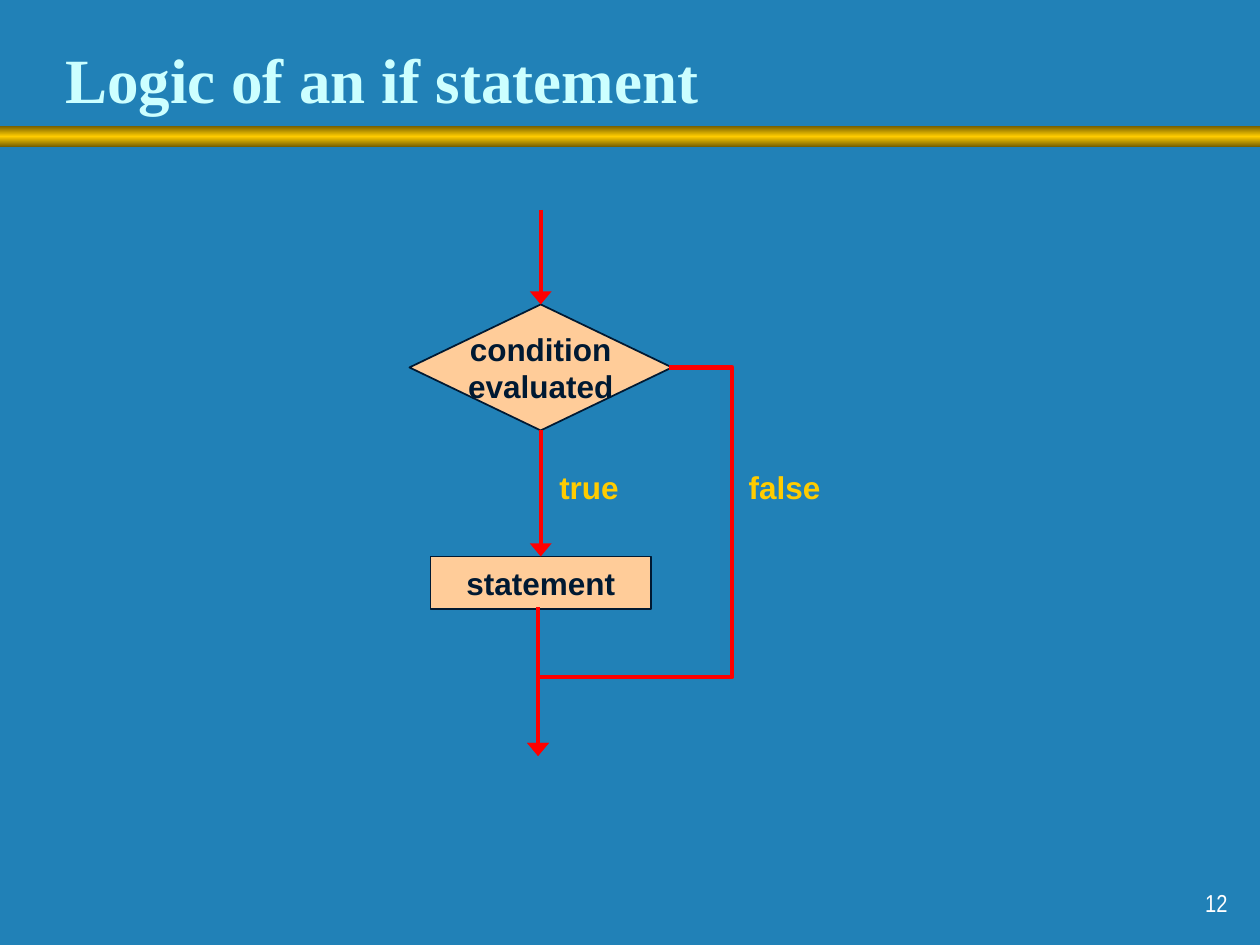
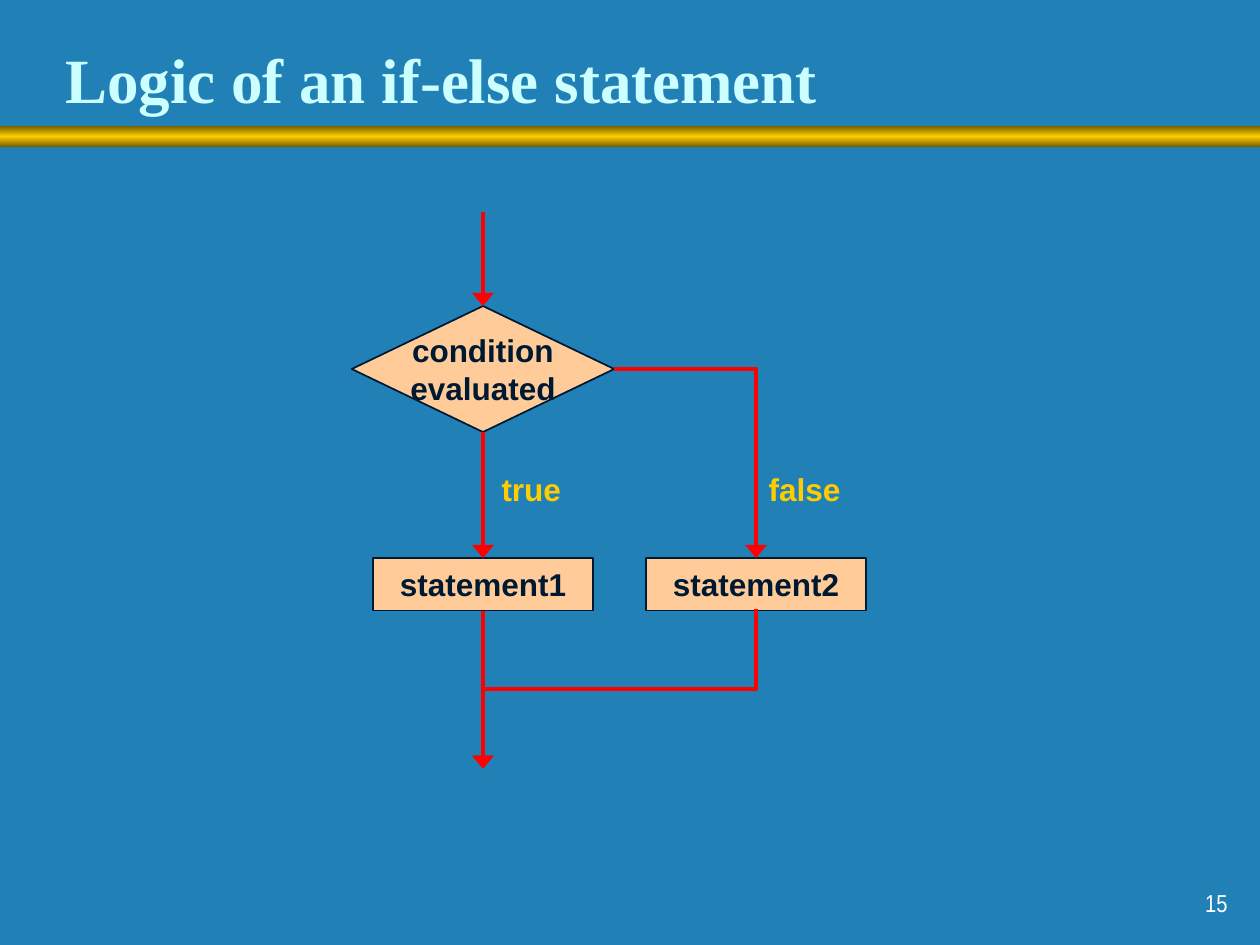
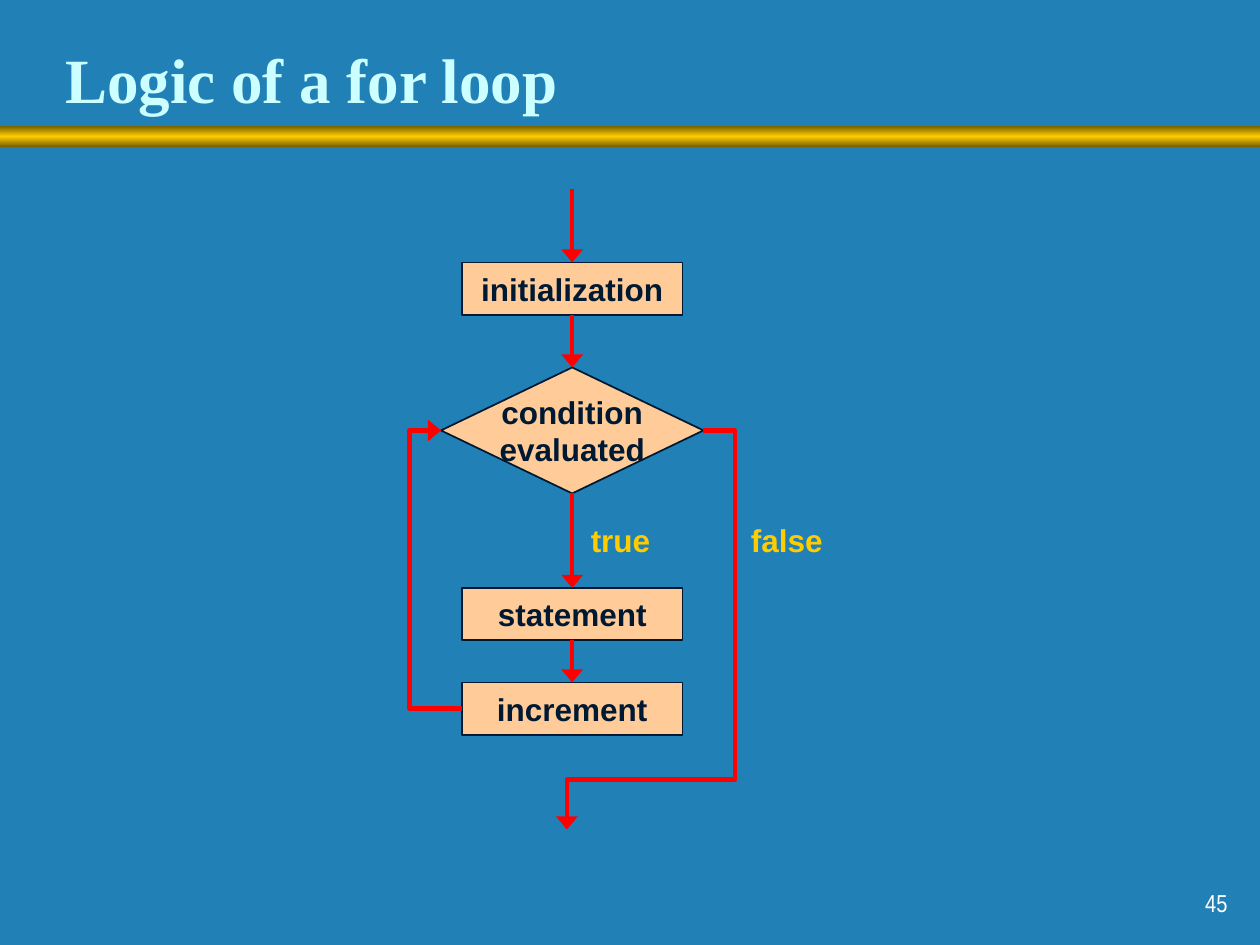
import copy
import dataclasses

import lxml.etree
import pptx
import pptx.dml.color
import pptx.enum.shapes
import pptx.enum.text
import pptx.oxml
import pptx.oxml.ns
import pptx.util

RGB = pptx.dml.color.RGBColor
SHAPE = pptx.enum.shapes.MSO_SHAPE
CONNECTOR = pptx.enum.shapes.MSO_CONNECTOR
ALIGN = pptx.enum.text.PP_ALIGN
ANCHOR = pptx.enum.text.MSO_ANCHOR
qn = pptx.oxml.ns.qn

BLUE = RGB(0x21, 0x81, 0xB7)
GOLD = RGB(0xFF, 0xCC, 0x00)
DARK_GOLD = RGB(0x75, 0x5E, 0x00)
PALE_CYAN = RGB(0xCC, 0xFF, 0xFF)
PEACH = RGB(0xFF, 0xCC, 0x99)
NAVY = RGB(0x00, 0x19, 0x32)
RED = RGB(0xFF, 0x00, 0x00)
WHITE = RGB(0xFF, 0xFF, 0xFF)

COLUMNS, ROWS = 240, 180
UNIT = pptx.util.Inches(10) / COLUMNS
TOP, BOTTOM = 0, 2
CONDITION = "condition\nevaluated"

Point = tuple[float, float]


@dataclasses.dataclass
class Node:
    text: str
    center: float
    top: float
    width: float = 42
    height: float = 10
    outline: int = SHAPE.RECTANGLE


@dataclasses.dataclass
class Label:
    text: str
    column: float
    row: float
    width: float


@dataclasses.dataclass
class Arrow:
    start: str | Point
    end: str | Point


@dataclasses.dataclass
class Elbow:
    start: Point
    end: Point
    lane: float | None = None
    rail: float | None = None


@dataclasses.dataclass
class Flowchart:
    title: str
    number: int
    nodes: list[Node]
    labels: list[Label]
    arrows: list[Arrow]
    elbows: list[Elbow]


def condition(center: float, top: float) -> Node:
    return Node(CONDITION, center, top, 50, 24, SHAPE.DIAMOND)


def branch_labels(true_column: float, false_column: float, row: float) -> list[Label]:
    return [Label("true", true_column, row, 16), Label("false", false_column, row, 18.5)]


FLOWCHARTS = [
    Flowchart(
        "Logic of an if statement", 12,
        [condition(103, 58), Node("statement", 103, 106)],
        branch_labels(104.2, 140.2, 88),
        [Arrow((103, 40), CONDITION), Arrow(CONDITION, "statement"),
         Arrow((102.5, 115.7), (102.5, 144))],
        [Elbow((127.5, 70), (102.5, 144), lane=139.5, rail=129)],
    ),
    Flowchart(
        "Logic of an if-else statement", 15,
        [condition(92, 58.3), Node("statement1", 92, 106.3), Node("statement2", 144, 106.3)],
        branch_labels(93.2, 144, 88.3),
        [Arrow((92, 40.3), CONDITION), Arrow(CONDITION, "statement1"),
         Arrow("statement1", (92, 146.4))],
        [Elbow((117, 70.3), (144, 106.3)), Elbow((144, 116), (92, 146.4), rail=131.2)],
    ),
    Flowchart(
        "Logic of a for loop", 45,
        [Node("initialization", 109, 50), condition(109, 70),
         Node("statement", 109, 112), Node("increment", 109, 130)],
        branch_labels(110.2, 140.6, 98),
        [Arrow((109, 36), "initialization"), Arrow("initialization", CONDITION),
         Arrow(CONDITION, "statement"), Arrow("statement", "increment")],
        [Elbow((88, 135), (84, 82), lane=78),
         Elbow((134, 82), (108, 158), lane=140, rail=148.5)],
    ),
]


def grid(*lengths: float) -> list[int]:
    return [round(length * UNIT) for length in lengths]


def write(shape, text: str, *, color: RGB, size: float = 18, font: str = "Arial",
          bold: bool = True, align=ALIGN.CENTER, anchor=ANCHOR.MIDDLE,
          wrap: bool = False, before: float = 0) -> None:
    frame = shape.text_frame
    frame.text = text
    frame.auto_size = pptx.enum.text.MSO_AUTO_SIZE.NONE
    frame.word_wrap = wrap
    frame.vertical_anchor = anchor
    for paragraph in frame.paragraphs:
        paragraph.alignment = align
        paragraph.space_before = pptx.util.Pt(before)
        paragraph.font.name = font
        paragraph.font.size = pptx.util.Pt(size)
        paragraph.font.bold = bold
        paragraph.font.color.rgb = color


def add_band(slide, layout) -> None:
    band = slide.shapes.add_shape(SHAPE.RECTANGLE, *grid(0, 24, COLUMNS, 4))
    band.shadow.inherit = False
    band.line.fill.background()
    band.fill.gradient()
    band.fill.gradient_angle = 90
    stops = band._element.spPr.find(".//" + qn("a:gsLst"))
    stops.append(copy.deepcopy(stops[0]))
    for stop, position, color in zip(band.fill.gradient_stops, (0, 0.5, 1),
                                     (DARK_GOLD, GOLD, DARK_GOLD)):
        stop.position = position
        stop.color.rgb = color
    layout.shapes._spTree.append(band._element)


def add_node(slide, node: Node):
    box = slide.shapes.add_shape(
        node.outline, *grid(node.center - node.width / 2, node.top, node.width, node.height))
    box.shadow.inherit = False
    box.fill.solid()
    box.fill.fore_color.rgb = PEACH
    box.line.color.rgb = NAVY
    box.line.width = pptx.util.Pt(1)
    write(box, node.text, color=NAVY)
    return box


def style_flow(flow) -> None:
    flow.line.color.rgb = RED
    flow.line.width = pptx.util.Pt(2.5)
    properties = flow._element.spPr
    lxml.etree.SubElement(properties.find(qn("a:ln")), qn("a:tailEnd"),
                          type="triangle", w="lg", len="med")
    lxml.etree.SubElement(properties, qn("a:effectLst"))


def add_arrow(slide, arrow: Arrow, boxes: dict) -> None:
    start = (0, 0) if arrow.start in boxes else arrow.start
    end = (0, 0) if arrow.end in boxes else arrow.end
    flow = slide.shapes.add_connector(CONNECTOR.STRAIGHT, *grid(*start, *end))
    if arrow.start in boxes:
        flow.begin_connect(boxes[arrow.start], BOTTOM)
    if arrow.end in boxes:
        flow.end_connect(boxes[arrow.end], TOP)
    style_flow(flow)


def add_elbow(slide, elbow: Elbow) -> None:
    (x0, y0), (x1, y1) = elbow.start, elbow.end
    bends = []
    if elbow.lane is not None:
        bends.append((elbow.lane - x0) / (x1 - x0))
    if elbow.rail is not None:
        bends.append((elbow.rail - y0) / (y1 - y0))
    turned = elbow.lane is None and elbow.rail is not None
    if turned:
        middle_x, middle_y = (x0 + x1) / 2, (y0 + y1) / 2
        half_width, half_height = (y1 - y0) / 2, (x0 - x1) / 2
        x0, x1 = middle_x - half_width, middle_x + half_width
        y0, y1 = middle_y - half_height, middle_y + half_height
    flow = slide.shapes.add_connector(CONNECTOR.ELBOW, *grid(x0, y0, x1, y1))
    properties = flow._element.spPr
    if turned:
        properties.find(qn("a:xfrm")).set("rot", "5400000")
    geometry = properties.find(qn("a:prstGeom"))
    geometry.set("prst", f"bentConnector{len(bends) + 2}")
    guides = geometry.find(qn("a:avLst"))
    for index, bend in enumerate(bends, 1):
        lxml.etree.SubElement(guides, qn("a:gd"), name=f"adj{index}",
                              fmla=f"val {round(bend * 100000)}")
    style_flow(flow)


def add_flowchart(slide, chart: Flowchart) -> None:
    title = slide.shapes.title
    title.left, title.top, title.width, title.height = grid(10, 5.3, 205, 18)
    write(title, chart.title, color=PALE_CYAN, size=36, font="Times New Roman",
          align=ALIGN.LEFT, anchor=ANCHOR.BOTTOM, wrap=True)
    boxes = {node.text: add_node(slide, node) for node in chart.nodes}
    for arrow in chart.arrows:
        add_arrow(slide, arrow, boxes)
    for elbow in chart.elbows:
        add_elbow(slide, elbow)
    for label in chart.labels:
        caption = slide.shapes.add_textbox(*grid(label.column, label.row, label.width, 9.6))
        write(caption, label.text, color=GOLD)
    number = slide.shapes.add_textbox(*grid(186.2, 164, 50, 12))
    write(number, str(chart.number), color=WHITE, size=14, font="Arial Narrow", bold=False,
          align=ALIGN.RIGHT, anchor=ANCHOR.BOTTOM, wrap=True, before=8.8)


def main() -> None:
    deck = pptx.Presentation()
    deck.slide_width, deck.slide_height = grid(COLUMNS, ROWS)
    background = deck.slide_master.background.fill
    background.solid()
    background.fore_color.rgb = BLUE
    layout = deck.slide_layouts.get_by_name("Title Only")
    for chart in FLOWCHARTS:
        add_flowchart(deck.slides.add_slide(layout), chart)
    add_band(deck.slides[0], layout)
    deck.save("out.pptx")


if __name__ == "__main__":
    main()
